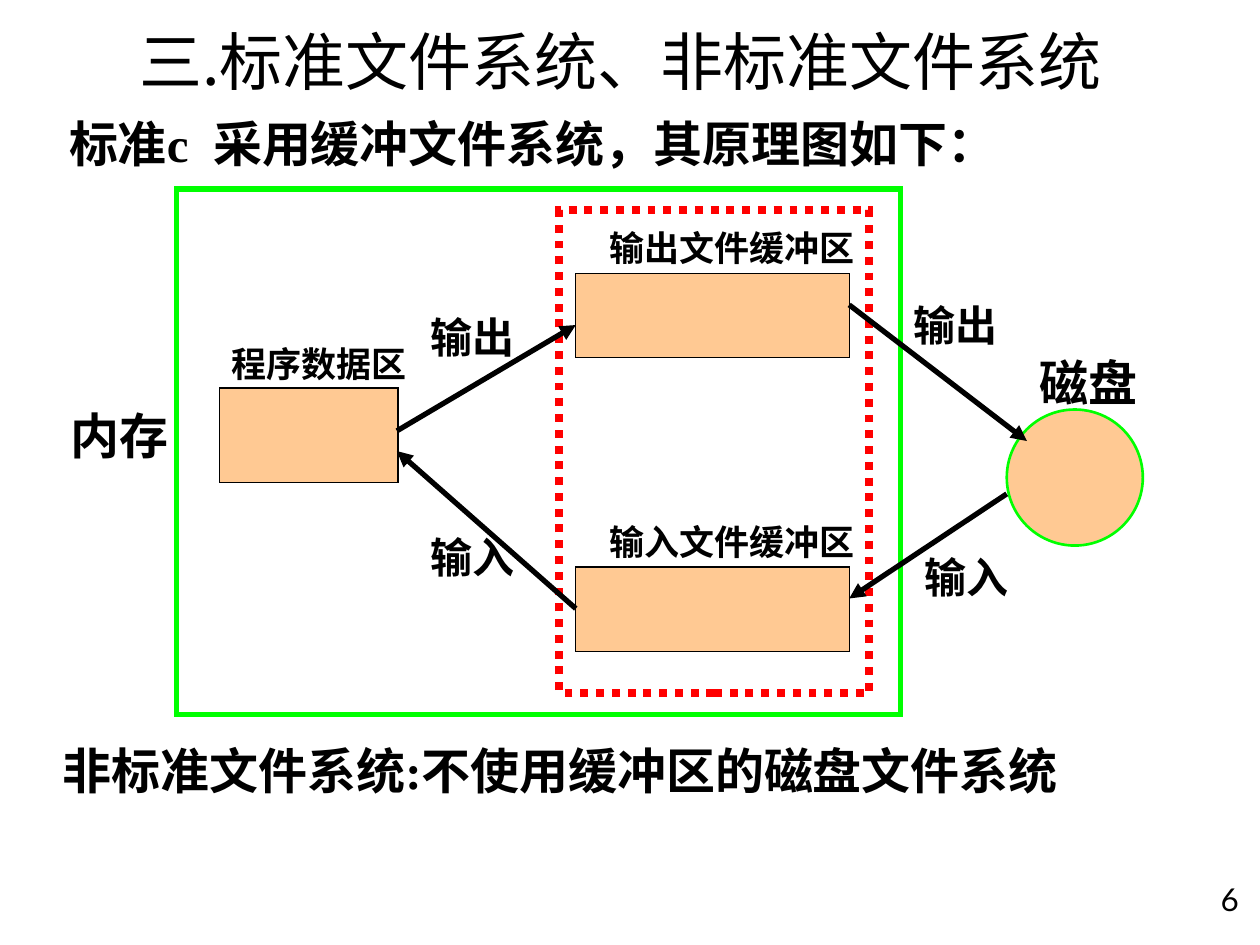
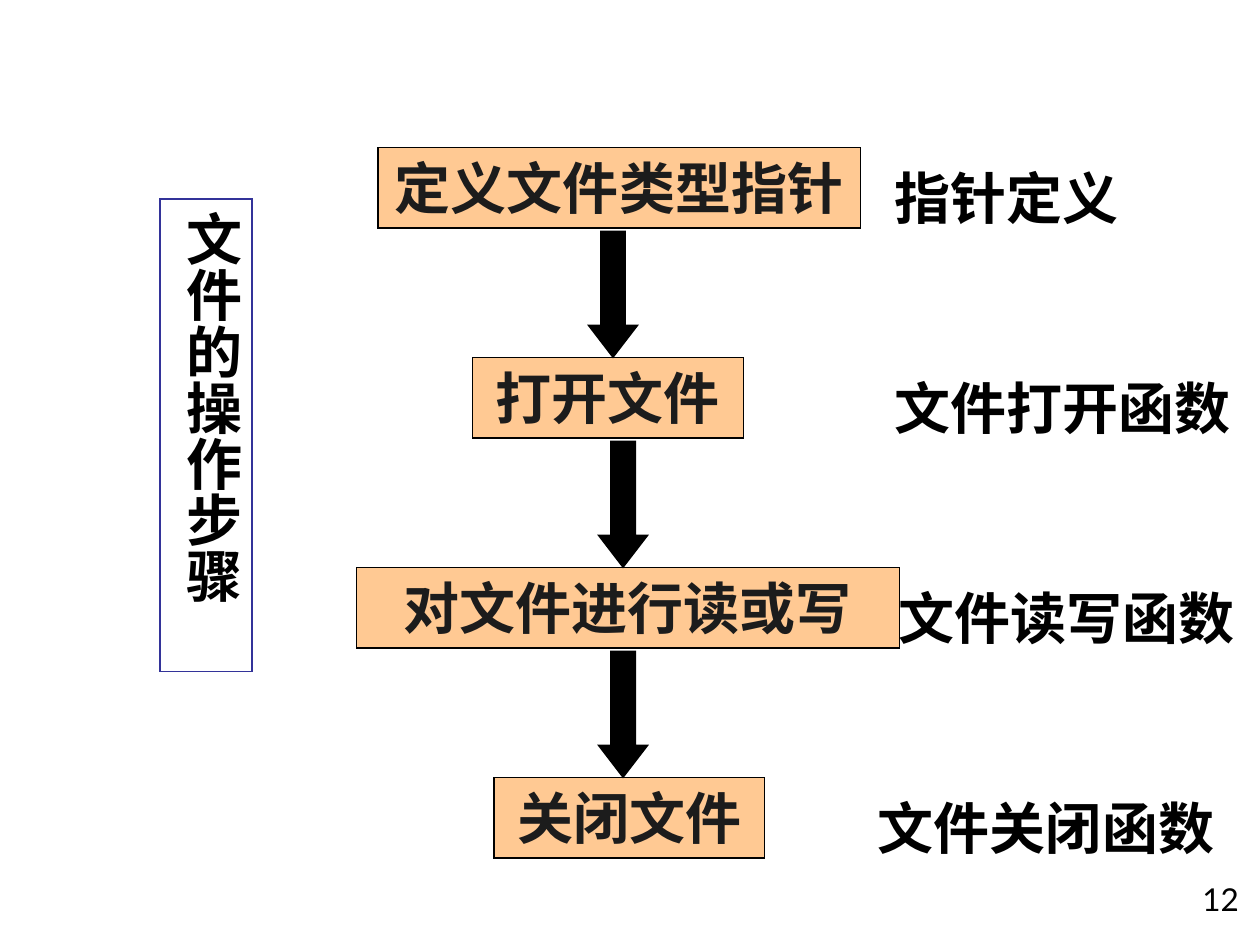
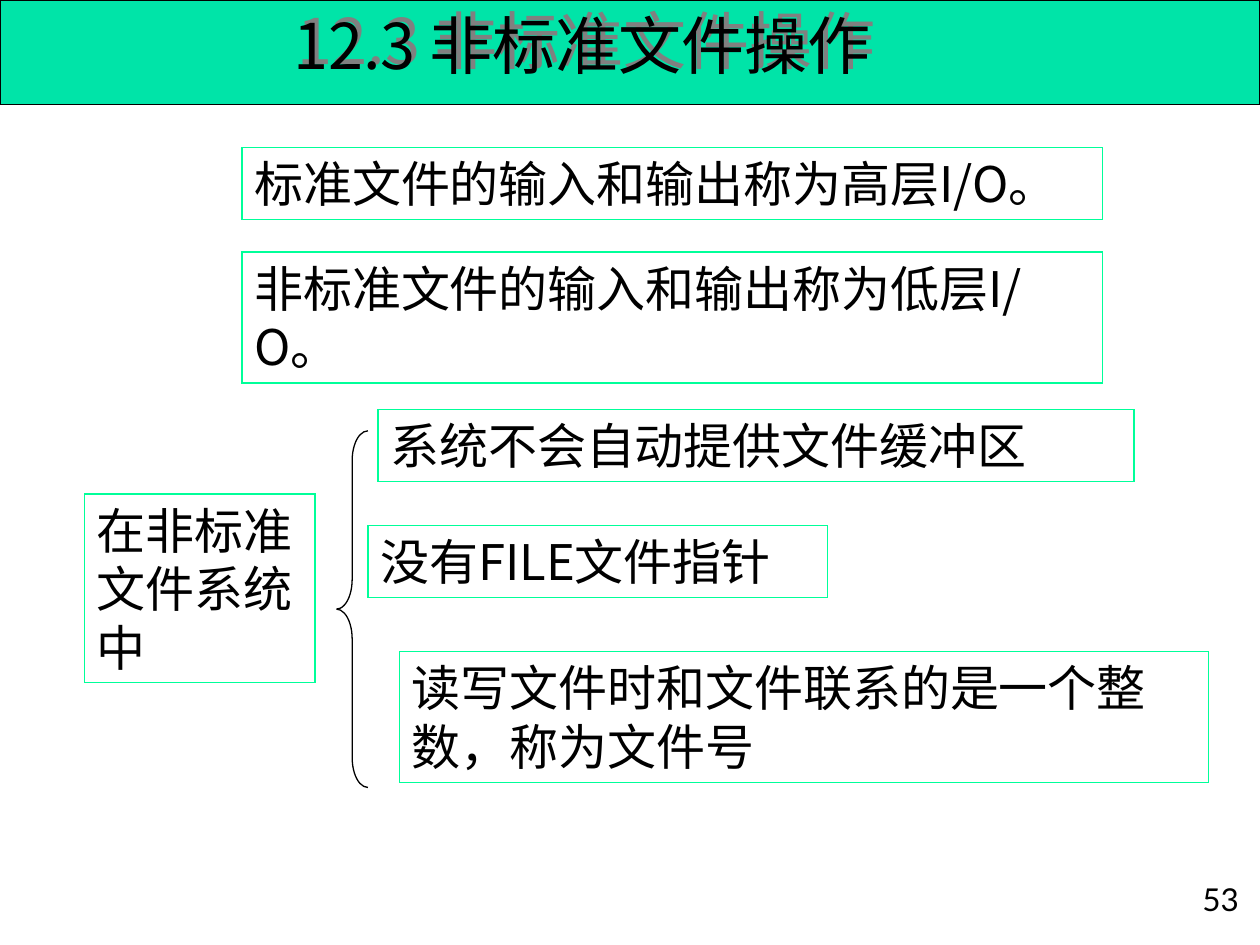
from lxml.etree import SubElement
from pptx import Presentation
from pptx.dml.color import RGBColor
from pptx.enum.dml import MSO_LINE
from pptx.enum.shapes import MSO_CONNECTOR, MSO_SHAPE
from pptx.enum.text import MSO_ANCHOR, MSO_AUTO_SIZE, PP_ALIGN
from pptx.oxml import parse_xml
from pptx.oxml.ns import nsdecls, qn
from pptx.util import Inches, Pt

BLACK = RGBColor(0x00, 0x00, 0x00)
DARK = RGBColor(0x1C, 0x1C, 0x1C)
GREY = RGBColor(0x80, 0x80, 0x80)
PEACH = RGBColor(0xFF, 0xC9, 0x93)
GREEN = RGBColor(0x00, 0xFF, 0x00)
RED = RGBColor(0xFF, 0x00, 0x00)
NAVY = RGBColor(0x33, 0x33, 0x99)
TEAL = RGBColor(0x00, 0xE4, 0xA8)
MINT = RGBColor(0x00, 0xFF, 0x99)

SANS = "Noto Sans CJK SC"
SERIF = "Times New Roman"
NUMBER_FONT = "Lato"
TITLE_ONLY, BLANK = 5, 6

BUFFER_TITLE = "三.标准文件系统、非标准文件系统"
BUFFER_LABELS = [
    ("标准c  采用缓冲文件系统，其原理图如下：", 0.45, 0.85, 7.74, 28),
    ("程序数据区", 1.74, 2.67, 2, 20),
    ("输出文件缓冲区", 4.74, 1.75, 2.75, 20),
    ("输入文件缓冲区", 4.74, 4.08, 2.58, 20),
    ("输出", 3.32, 2.42, 1, 24),
    ("输入", 3.32, 4.17, 1.08, 24),
    ("输出", 7.15, 2.33, 1, 24),
    ("输入", 7.24, 4.33, 1.17, 24),
    ("磁盘", 8.15, 2.75, 1, 28),
    ("内存", 0.46, 3.17, 1.08, 28),
    ("非标准文件系统:不使用缓冲区的磁盘文件系统", 0.4, 5.83, 9.6, 28),
]
STORES = [(1.74, 3.08, 1.42, 0.75), (4.57, 2.17, 2.17, 0.67), (4.57, 4.5, 2.17, 0.67)]
DISK = (7.99, 3.25, 1.08, 1.08)
MEMORY_FRAME = (1.4, 1.5, 5.75, 4.17)
BUFFER_FRAME = (4.44, 1.67, 2.46, 3.83)
DATA_FLOWS = [
    (4.57, 4.83, 3.15, 3.58),
    (6.74, 2.42, 8.15, 3.5),
    (7.99, 3.92, 6.74, 4.75),
    (3.15, 3.42, 4.57, 2.58),
]

STEPS_HEADING = "文件的操作步骤"
STEPS = [
    ("定义文件类型指针", 3, 3.83, "指针定义", 7),
    ("打开文件", 3.75, 2.15, "文件打开函数", 7),
    ("对文件进行读或写", 2.83, 4.31, "文件读写函数", 7.03),
    ("关闭文件", 3.92, 2.15, "文件关闭函数", 6.87),
]
STEP_ARROWS = [4.67, 4.75, 4.75]
STEP_TOP, STEP_PITCH, STEP_HEIGHT = 1.17, 5 / 3, 0.64

LOW_LEVEL_TITLE = "12.3 非标准文件操作"
LOW_LEVEL_NOTES = [
    ("标准文件的输入和输出称为高层I/O。", 1.92, 1.17, 6.83, 0.57),
    ("非标准文件的输入和输出称为低层I/O。", 1.92, 2, 6.83, 1.04),
    ("在非标准文件系统中", 0.67, 3.92, 1.83, 1.5),
    ("系统不会自动提供文件缓冲区", 3, 3.25, 6, 0.57),
    ("没有FILE文件指针", 2.92, 4.17, 3.65, 0.57),
    ("读写文件时和文件联系的是一个整数，称为文件号", 3.17, 5.17, 6.42, 1.04),
]


def write(sp, text, size, font=SERIF, bold=False, color=BLACK,
          align=PP_ALIGN.LEFT, anchor=MSO_ANCHOR.TOP):
    tf = sp.text_frame
    tf.text = text
    tf.word_wrap = True
    tf.vertical_anchor = anchor
    p = tf.paragraphs[0]
    p.alignment = align
    p._p.get_or_add_pPr().set("hangingPunct", "0")
    r = p.runs[0]
    r.font.size = Pt(size)
    r.font.bold = bold
    r.font.color.rgb = color
    r.font.name = font
    ea = SubElement(r.font._element, qn("a:ea"))
    ea.set("typeface", NUMBER_FONT if font == NUMBER_FONT else SANS)


def add_label(s, text, x, y, w, h, size, **style):
    sp = s.shapes.add_textbox(Inches(x), Inches(y), Inches(w), Inches(h))
    write(sp, text, size, **style)


def add_box(s, kind, box, fill=None, line=BLACK, width=0.75):
    sp = s.shapes.add_shape(kind, *map(Inches, box))
    sp.shadow.inherit = False
    if fill is None:
        sp.fill.background()
    else:
        sp.fill.solid()
        sp.fill.fore_color.rgb = fill
    sp.line.color.rgb = line
    sp.line.width = Pt(width)
    SubElement(sp.line._get_or_add_ln(), qn("a:miter")).set("lim", "800000")
    return sp


def add_arrow(s, ends):
    c = s.shapes.add_connector(MSO_CONNECTOR.STRAIGHT, *map(Inches, ends))
    c.line.color.rgb = BLACK
    c.line.width = Pt(3)
    SubElement(c.line._get_or_add_ln(), qn("a:tailEnd")).set("type", "triangle")
    SubElement(c._element.spPr, qn("a:effectLst"))


def add_title(s, text, x, y, w):
    sp = s.shapes.title
    sp.left, sp.top, sp.width, sp.height = map(Inches, (x, y, w, 0.7))
    write(sp, text, 36, font=SANS, align=PP_ALIGN.CENTER)
    return sp


def add_title_shadow(sp):
    sp.fill.background()
    sp.line.fill.background()
    sp._element.spPr.append(parse_xml(
        f'<a:effectLst {nsdecls("a")}>'
        '<a:outerShdw dist="45720" dir="18900000" algn="ctr" rotWithShape="0">'
        f'<a:srgbClr val="{GREY}"/></a:outerShdw></a:effectLst>'))


def add_slide(prs, layout, number):
    s = prs.slides.add_slide(prs.slide_layouts[layout])
    add_label(s, str(number), 9.04, 6.83, 0.89, 0.5, 18, font=NUMBER_FONT,
              align=PP_ALIGN.RIGHT, anchor=MSO_ANCHOR.BOTTOM)
    return s


def build_buffer_slide(prs):
    s = add_slide(prs, TITLE_ONLY, 6)
    add_title(s, BUFFER_TITLE, 0, 0.13, 9.85)
    for text, x, y, w, size in BUFFER_LABELS:
        add_label(s, text, x, y, w, size / 60 + 0.1, size, bold=True)
    for box in STORES:
        add_box(s, MSO_SHAPE.RECTANGLE, box, PEACH)
    add_box(s, MSO_SHAPE.OVAL, DISK, PEACH, GREEN, 1.5)
    add_box(s, MSO_SHAPE.RECTANGLE, MEMORY_FRAME, line=GREEN, width=3)
    frame = add_box(s, MSO_SHAPE.RECTANGLE, BUFFER_FRAME, line=RED, width=4.5)
    frame.line.dash_style = MSO_LINE.ROUND_DOT
    for ends in DATA_FLOWS:
        add_arrow(s, ends)


def build_steps_slide(prs):
    s = add_slide(prs, BLANK, 12)
    heading = add_box(s, MSO_SHAPE.RECTANGLE, (1.27, 1.58, 0.73, 3.75), line=NAVY)
    write(heading, STEPS_HEADING, 32, bold=True, align=PP_ALIGN.CENTER)
    tf = heading.text_frame
    tf.auto_size = MSO_AUTO_SIZE.SHAPE_TO_FIT_TEXT
    tf.margin_left = tf.margin_right = Inches(0.05)
    tf.margin_top = tf.margin_bottom = Inches(0.1)
    tf._txBody.bodyPr.set("vert", "eaVert")
    for i, (step, x, w, note, note_x) in enumerate(STEPS):
        y = STEP_TOP + i * STEP_PITCH
        sp = add_box(s, MSO_SHAPE.RECTANGLE, (x, y, w, STEP_HEIGHT), PEACH)
        write(sp, step, 32, bold=True, color=DARK, align=PP_ALIGN.CENTER)
        add_label(s, note, note_x, y + 0.08, 10 - note_x, STEP_HEIGHT, 32, bold=True)
    for i, x in enumerate(STEP_ARROWS):
        y = STEP_TOP + (i + 1) * STEP_PITCH - 1
        arrow = add_box(s, MSO_SHAPE.DOWN_ARROW, (x, y, 0.39, 1), BLACK)
        arrow.adjustments[1] = 0.65


def build_low_level_slide(prs):
    s = add_slide(prs, TITLE_ONLY, 53)
    band = add_box(s, MSO_SHAPE.RECTANGLE, (0, 0, 10, 0.83), TEAL)
    s.shapes.title._element.addprevious(band._element)
    add_title_shadow(add_title(s, LOW_LEVEL_TITLE, 0.58, 0, 8.08))
    for text, *box in LOW_LEVEL_NOTES:
        sp = add_box(s, MSO_SHAPE.RECTANGLE, box, line=MINT)
        write(sp, text, 28, font=SANS)
        sp.text_frame.margin_right = Inches(0.15)
    brace = add_box(s, MSO_SHAPE.LEFT_BRACE, (2.67, 3.42, 0.25, 2.83))
    brace.adjustments[0] = 0.94


def main():
    prs = Presentation()
    prs.slide_width, prs.slide_height = Inches(10), Inches(7.5)
    build_buffer_slide(prs)
    build_steps_slide(prs)
    build_low_level_slide(prs)
    prs.save("out.pptx")


if __name__ == "__main__":
    main()
